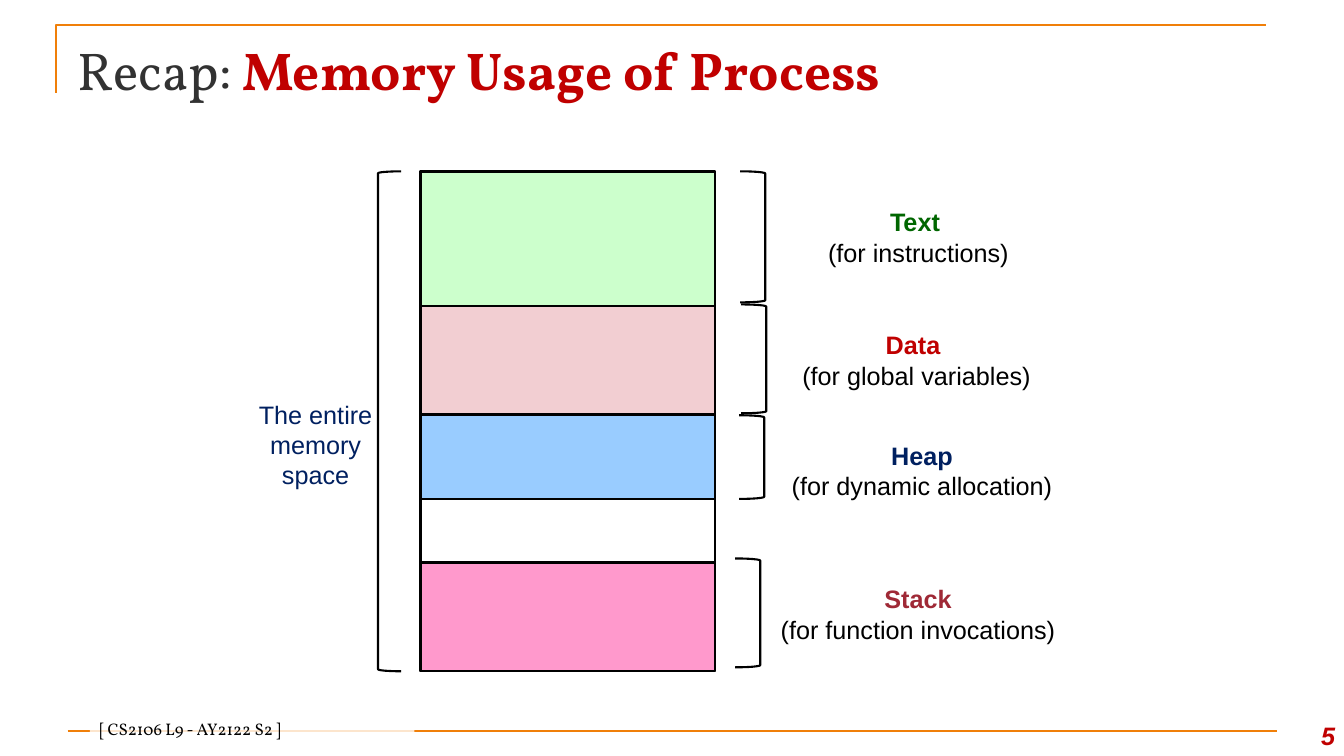
from pptx import Presentation
from pptx.dml.color import RGBColor
from pptx.enum import shapes, text
from pptx.oxml import parse_xml
from pptx.oxml.ns import nsdecls
from pptx.util import Inches, Pt

SHAPE = shapes.MSO_SHAPE
ALIGN = text.PP_ALIGN
ANCHOR = text.MSO_ANCHOR
ORANGE, RED, NAVY, BLACK, WHITE = "F07F09", "C00000", "002060", "000000", "FFFFFF"


def color(target, value):
    """Colour a font, or a fill already made solid."""
    rgb = RGBColor.from_string(value)
    if hasattr(target, "fore_color"):
        target.fore_color.rgb = rgb
    else:
        target.color.rgb = rgb


def add_run(p, words, size, font, value, bold=False, italic=False):
    r = p.add_run()
    r.text = words
    r.font.size, r.font.name = Pt(size), font
    r.font.bold, r.font.italic = bold, italic
    color(r.font, value)


def write(sp, lines, anchor=ANCHOR.MIDDLE, align=ALIGN.CENTER):
    """Write lines, each a tuple of add_run arguments, as paragraphs."""
    tf = sp.text_frame
    tf.word_wrap = True
    tf.auto_size = text.MSO_AUTO_SIZE.NONE
    tf.vertical_anchor = anchor
    for i, line in enumerate(lines):
        p = tf.add_paragraph() if i else tf.paragraphs[0]
        p.alignment = align
        add_run(p, *line)


def add_shape(s, kind, box, fill=None, line=None, width=1.5):
    sp = s.shapes.add_shape(kind, *map(Inches, box))
    sp.shadow.inherit = False
    if fill:
        sp.fill.solid()
        color(sp.fill, fill)
    else:
        sp.fill.background()
    if line:
        color(sp.line, line)
        sp.line.width = Pt(width)
    else:
        sp.line.fill.background()
    return sp


def add_title(s, x, y, w, h):
    # Corner rule above and left of the title
    fb = s.shapes.build_freeform(Inches(x - 0.11), Inches(y + 0.62))
    fb.add_line_segments([(Inches(x - 0.11), Inches(y - 0.05)),
                          (Inches(x + w - 0.11), Inches(y - 0.05))], close=False)
    rule = fb.convert_to_shape()
    rule.shadow.inherit = False
    rule.fill.background()
    color(rule.line, ORANGE)
    rule.line.width = Pt(1.5)

    title = s.shapes.title
    title.left, title.top, title.width, title.height = map(Inches, (x, y, w, h))
    write(title, [("Recap: ", 38, "Vollkorn", "323232")], align=ALIGN.LEFT)
    add_run(title.text_frame.paragraphs[0], "Memory Usage of Process", 38,
            "Vollkorn", RED, True)


def add_footer(s, x, y, w, h):
    rule_y = Inches(y + h / 2)
    rule = s.shapes.add_connector(shapes.MSO_CONNECTOR.STRAIGHT,
                                  Inches(x), rule_y, Inches(x + 12), rule_y)
    color(rule.line, ORANGE)
    rule.line.width = Pt(1.5)
    rule._element.spPr.append(parse_xml("<a:effectLst %s/>" % nsdecls("a")))

    # Page number
    number = s.shapes.add_textbox(*map(Inches, (x + w - 0.78, y, 0.78, h)))
    write(number, [("5", 18, "Arial", RED, True, True)], ANCHOR.BOTTOM, ALIGN.RIGHT)

    # Course label on a translucent band
    label = add_shape(s, SHAPE.RECTANGLE, (x + 0.22, y + 0.13, 3.22, 0.25), WHITE)
    solid = label._element.spPr.find(".//{*}srgbClr")
    solid.append(parse_xml('<a:alpha %s val="80000"/>' % nsdecls("a")))
    write(label, [("[ CS2106 L9 - AY2122 S2 ]", 12, "Vollkorn", BLACK)],
          ANCHOR.BOTTOM, ALIGN.LEFT)


def add_segment(s, x, y, w, h, fill, name, use, name_color, label, bracket):
    """Place one memory block; label and bracket are offsets from its box."""
    dx, dy, label_w = label
    note = add_shape(s, SHAPE.RECTANGLE, (x + w + dx, y + dy, label_w, 0.94),
                     WHITE, WHITE, 2)
    write(note, [(name, 18, "Arial", name_color, True), (use, 18, "Arial", BLACK)])
    add_shape(s, SHAPE.RECTANGLE, (x, y, w, h), fill, BLACK)
    dx, dy, bracket_h = bracket
    add_shape(s, SHAPE.RIGHT_BRACKET, (x + w + dx, y + dy, 0.25, bracket_h),
              line=BLACK)


def add_memory(s, x, y, w, h):
    # Whole space, with its bracket and label on the left
    whole = add_shape(s, SHAPE.RIGHT_BRACKET, (x - 0.42, y, 0.23, h), line=BLACK)
    whole._element.spPr.xfrm.set("flipH", "1")
    label = s.shapes.add_textbox(*map(Inches, (x - 1.75, y + 2.24, 1.42, 0.94)))
    write(label, [("The entire", 18, "Arial", NAVY),
                  ("memory space", 18, "Arial", NAVY)])
    add_shape(s, SHAPE.RECTANGLE, (x, y, w, h), line=BLACK)

    # Segments: top, height, fill, name, use, name colour, label, bracket
    segments = [
        (1.33, 1.08, "F2CED2", "Data ", "(for global variables)", RED,
         (0.5, 0.07, 3), (0.26, -0.01, 1.08)),
        (0.01, 1.33, "CCFFCC", "Text ", "(for instructions)", "006600",
         (0.52, 0.17, 3), (0.25, -0.01, 1.3)),
        (3.88, 1.08, "FF99CC", "Stack", "(for function invocations)", "9F2936",
         (0.45, 0.04, 3.13), (0.2, -0.04, 1.08)),
        (2.42, 0.83, "99CCFF", "Heap", "(for dynamic allocation)", NAVY,
         (0.49, 0.08, 3.13), (0.24, 0, 0.83)),
    ]
    for top, height, *rest in segments:
        add_segment(s, x, y + top, w, height, *rest)


prs = Presentation()
prs.slide_width, prs.slide_height = Inches(13.33), Inches(7.5)
s = prs.slides.add_slide(prs.slide_layouts[5])
add_title(s, 0.67, 0.3, 12, 0.78)
add_footer(s, 0.67, 7, 12.67, 0.5)
add_memory(s, 4.17, 1.7, 2.92, 4.96)
prs.save("out.pptx")
